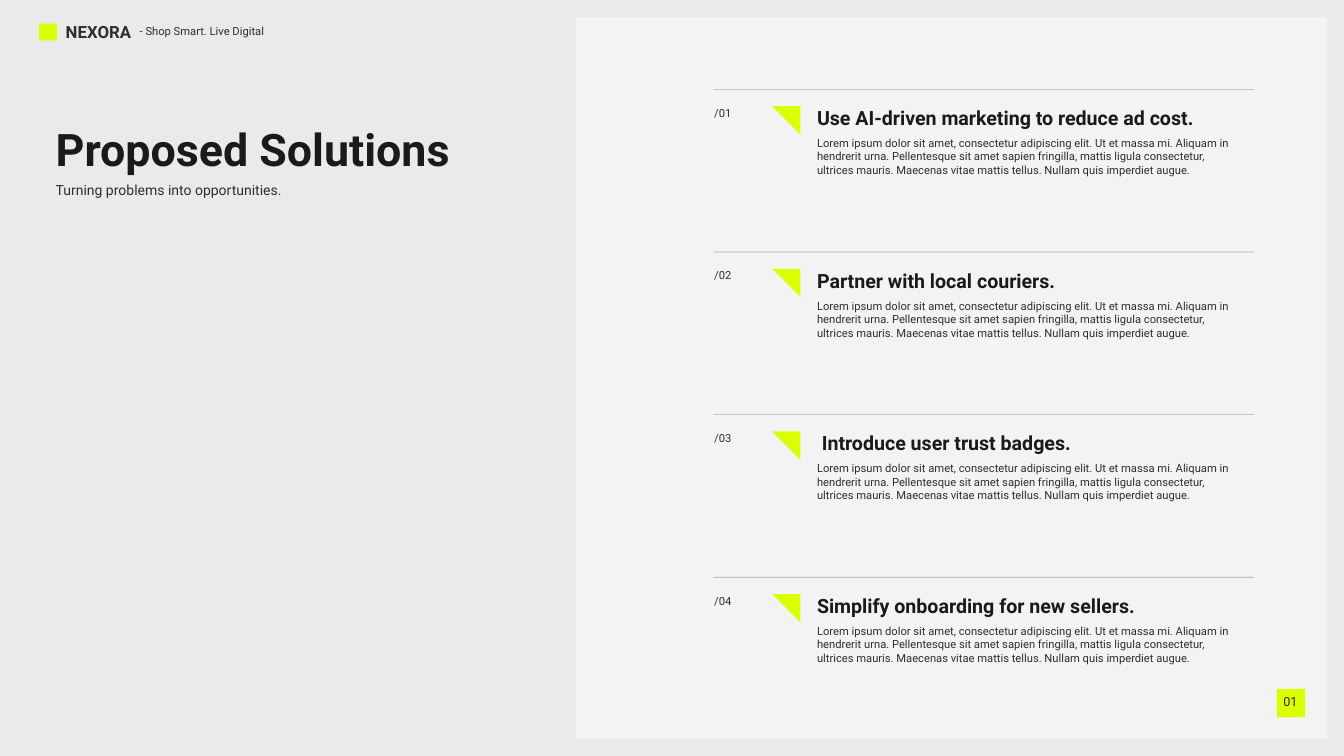
from lxml.etree import SubElement
from pptx import Presentation
from pptx.dml.color import RGBColor
from pptx.enum.shapes import MSO_CONNECTOR, MSO_SHAPE
from pptx.enum.text import MSO_AUTO_SIZE
from pptx.oxml.ns import qn
from pptx.util import Inches, Pt

COLORS = {
    "back": "EAEAEA",
    "panel": "F3F3F3",
    "lime": "D9FF00",
    "title": "1A1A1A",
    "text": "2E2E2E",
    "rule": "000000",
}
FONT = "Roboto"
CELL = Inches(1)
COLS, ROWS = 20, 11.25
TOP, PITCH = 1.33, 2.42
MARK = 0.42
ITEMS = [
    ("Use AI-driven marketing to reduce ad cost.", 6.36, 0.46),
    ("Partner with local couriers.", 4.02, 0.49),
    (" Introduce user trust badges.", 4.33, 0.49),
    ("Simplify onboarding for new sellers.", 5.33, 0.5),
]
BODY = "\n".join([
    "Lorem ipsum dolor sit amet, consectetur adipiscing elit. Ut et massa mi. Aliquam in",
    "hendrerit urna. Pellentesque sit amet sapien fringilla, mattis ligula consectetur,",
    "ultrices mauris. Maecenas vitae mattis tellus. Nullam quis imperdiet augue.",
])


def color(name):
    """Return the named colour."""
    return RGBColor.from_string(COLORS[name])


def grid(*cells):
    """Turn grid cells into lengths."""
    return [round(cell * CELL) for cell in cells]


def add_block(slide, kind, area, fill):
    """Add a plain filled shape."""
    shape = slide.shapes.add_shape(kind, *grid(*area))
    shape.shadow.inherit = False
    shape.fill.solid()
    shape.fill.fore_color.rgb = color(fill)
    shape.line.fill.background()
    return shape


def add_text(slide, area, text, size, shade="text", bold=False, wrap=False):
    """Add text in one style, a paragraph to each line."""
    frame = slide.shapes.add_textbox(*grid(*area)).text_frame
    frame.word_wrap = wrap
    frame.auto_size = MSO_AUTO_SIZE.SHAPE_TO_FIT_TEXT
    frame.text = text
    for para in frame.paragraphs:
        for run in para.runs:
            run.font.name = FONT
            run.font.size = Pt(size)
            run.font.bold = bold
            run.font.color.rgb = color(shade)


def add_rule(slide, left, top, width):
    """Add a thin, see-through level line."""
    rule = slide.shapes.add_connector(
        MSO_CONNECTOR.STRAIGHT, *grid(left, top, left + width, top))
    rule.line.width = Pt(0.75)
    rule.line.color.rgb = color("rule")
    props = rule._element.spPr
    shade = next(props.iter(qn("a:srgbClr")))
    SubElement(shade, qn("a:alpha")).set("val", "30000")
    SubElement(props, qn("a:effectLst"))


def add_item(slide, index, head, width, slot):
    """Add one numbered solution with its rule and mark."""
    top = TOP + index * PITCH
    add_rule(slide, 10.62, top, 8.04)
    add_text(slide, (10.53, top + 0.2, slot, 0.31), f"/{index + 1:02}", 12)
    mark = add_block(slide, MSO_SHAPE.RIGHT_TRIANGLE,
                     (11.49, top + 0.25, MARK, MARK), "lime")
    mark.rotation = 180
    add_text(slide, (12.06, top + 0.2, width, 0.45), head, 21, "title", True)
    add_text(slide, (12.06, top + 0.65, 7.01, 0.71), BODY, 12, wrap=True)


def add_brand(slide):
    """Add the name and motto beside a plain block."""
    add_block(slide, MSO_SHAPE.RECTANGLE, (0.58, 0.35, 0.27, 0.25), "lime")
    add_text(slide, (0.88, 0.27, 1.27, 0.4), "NEXORA", 18, bold=True)
    add_text(slide, (1.98, 0.32, 2.18, 0.3), "- Shop Smart. Live Digital", 12)


def main():
    """Build and save the slide."""
    deck = Presentation()
    deck.slide_width, deck.slide_height = grid(COLS, ROWS)
    slide = deck.slides.add_slide(deck.slide_layouts[6])
    slide.background.fill.solid()
    slide.background.fill.fore_color.rgb = color("back")

    add_block(slide, MSO_SHAPE.RECTANGLE, (8.57, 0.25, 11.18, 10.75), "panel")
    add_text(slide, (0.73, 1.76, 6.56, 0.94), "Proposed Solutions",
             48, "title", True)
    add_text(slide, (0.73, 2.65, 3.82, 0.35),
             "Turning problems into opportunities.", 15)
    for index, item in enumerate(ITEMS):
        add_item(slide, index, *item)
    add_brand(slide)
    add_block(slide, MSO_SHAPE.RECTANGLE, (19, 10.25, MARK, MARK), "lime")
    add_text(slide, (19, 10.28, 0.41, 0.34), "01", 13.5)
    deck.save("out.pptx")


if __name__ == "__main__":
    main()
